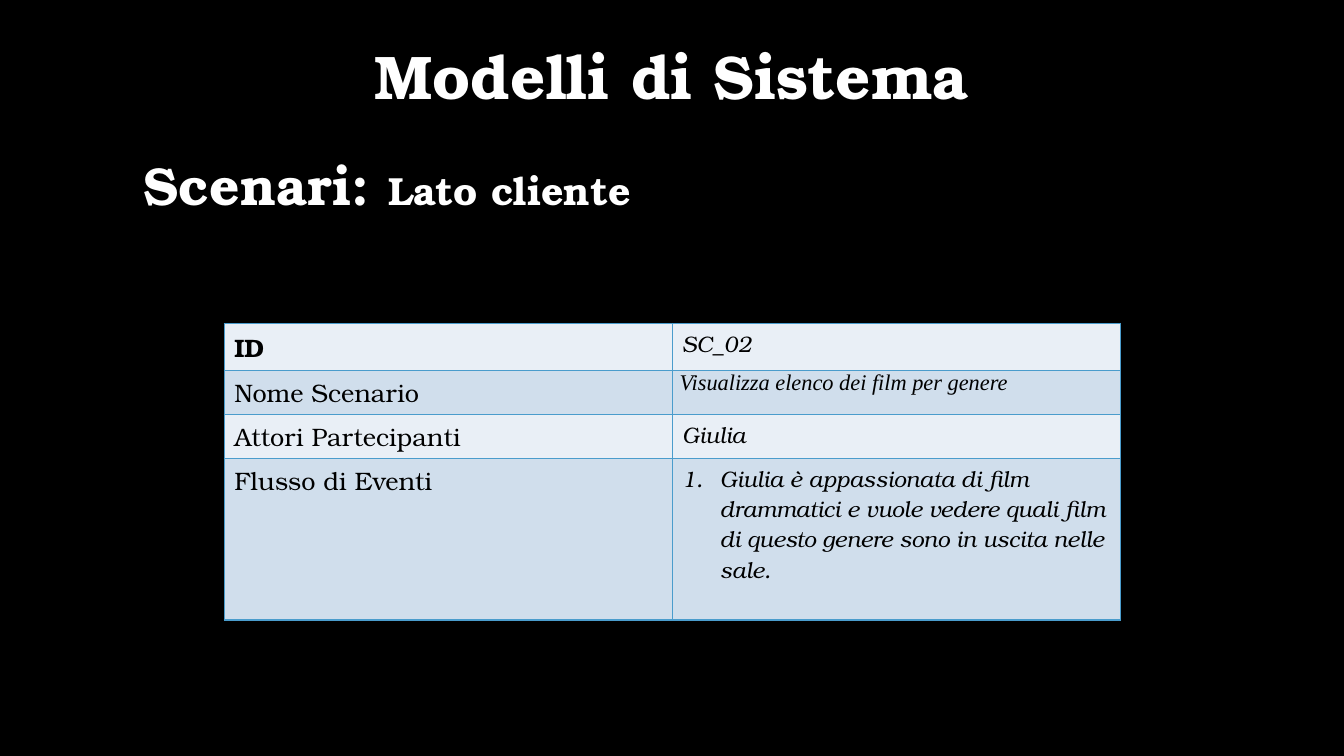
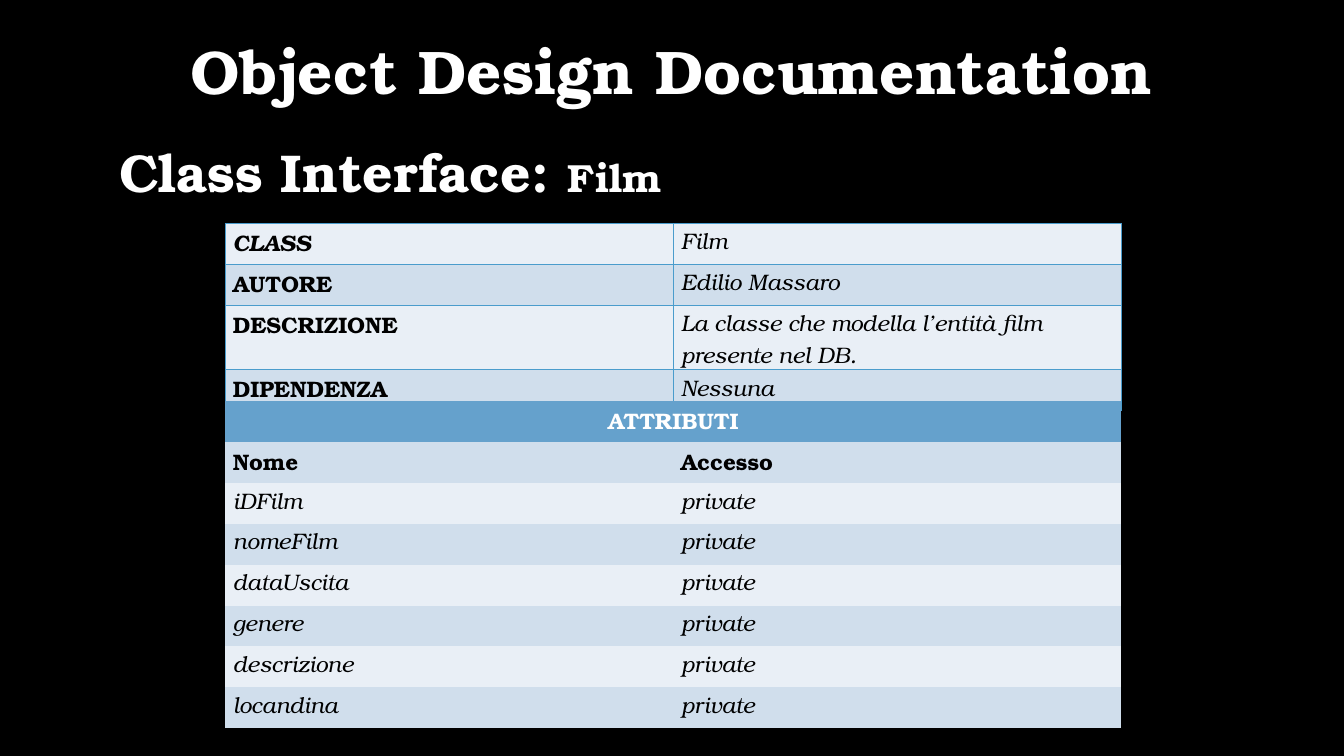
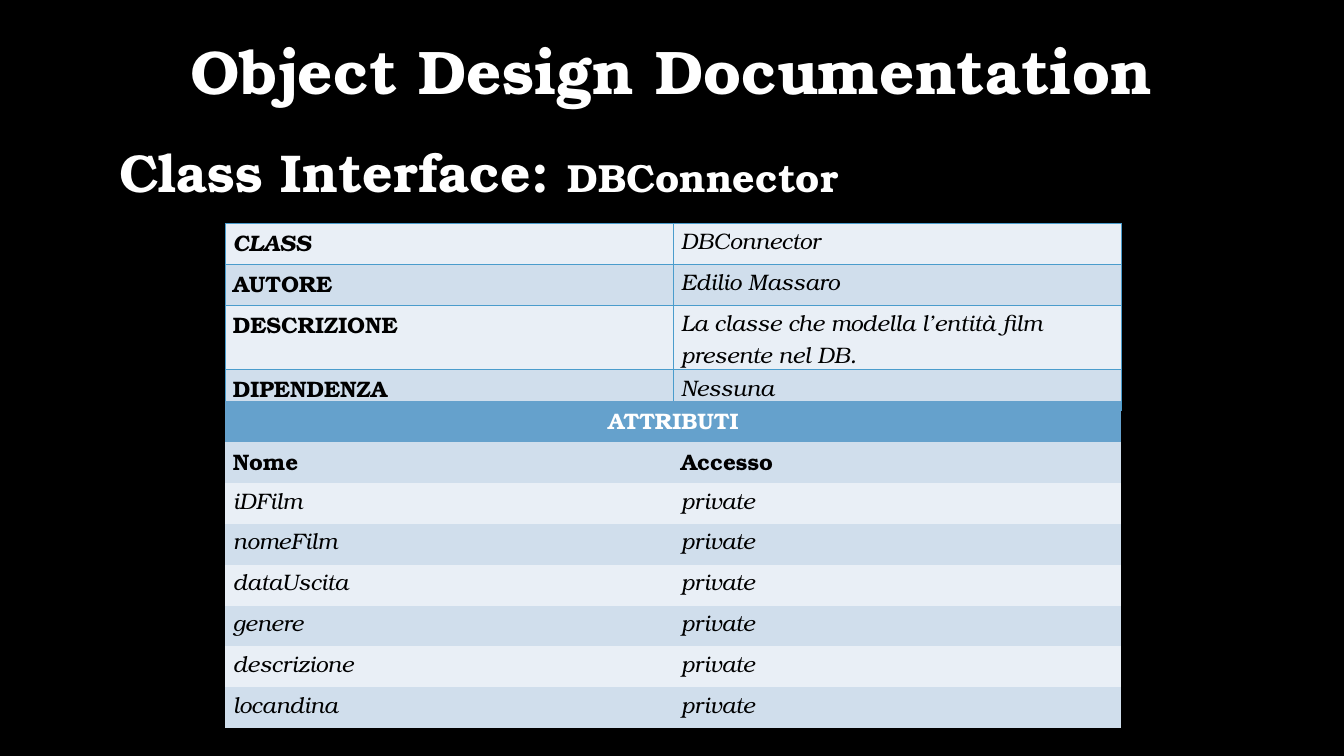
from lxml import etree
from pptx import Presentation
from pptx.dml.color import RGBColor
from pptx.enum.shapes import MSO_SHAPE
from pptx.enum.text import MSO_ANCHOR, PP_ALIGN
from pptx.oxml.ns import qn
from pptx.util import Cm, Pt

CENTER, LEFT = PP_ALIGN.CENTER, PP_ALIGN.LEFT
RECTANGLE, TOP = MSO_SHAPE.RECTANGLE, MSO_ANCHOR.TOP
FONT, SERIF = "TeX Gyre Bonum", "Times New Roman"
BLACK, WHITE, GREEN = "000000", "FFFFFF", "CAEB96"
LIGHT, MEDIUM, HEADER, BORDER = "E9EFF6", "D0DEEC", "65A1CC", "4A9CCC"
SLIDE_W, SLIDE_H = 33.87, 19.05
TABLE_W, ROW_H = 22.58, 1.03
ATTRIBUTES = ["iDFilm", "nomeFilm", "dataUscita", "genere", "descrizione", "locandina"]


def rgb(value):
    """Turn a hex string into a colour."""
    return RGBColor.from_string(value)


def style(r, size, color=BLACK, bold=False, italic=False, name=FONT):
    """Format one run."""
    r.font.size, r.font.name = Pt(size), name
    r.font.bold, r.font.italic = bold, italic
    r.font.color.rgb = rgb(color)


def fill_gradient(sp):
    """Fill a shape with the theme gradient, which ends in translucent black."""
    sp.fill.gradient()
    sp.fill.gradient_angle = 315
    for stop, color in zip(sp.fill.gradient_stops, (GREEN, BLACK)):
        stop.color.rgb = rgb(color)
        stop.position = 0
    last_color = list(sp._element.spPr.iter(qn("a:srgbClr")))[-1]
    etree.SubElement(last_color, qn("a:alpha"), val="56000")


def add_heading(s, box, runs, align=LEFT):
    """Write one bold white line of (text, size) runs in a box."""
    sp = s.shapes.add_shape(RECTANGLE, *map(Cm, box))
    sp.shadow.inherit = False
    sp.line.fill.background()
    fill_gradient(sp)
    tf = sp.text_frame
    tf.word_wrap, tf.vertical_anchor = True, TOP
    p = tf.paragraphs[0]
    p.alignment, p.line_spacing = align, 0.9
    for text, size in runs:
        r = p.add_run()
        r.text = text
        style(r, size, WHITE, bold=True)


def add_slide(prs, title, title_top, body_box, subtitle, detail):
    """Add a black slide with its title and subtitle."""
    s = prs.slides.add_slide(prs.slide_layouts[6])
    s.background.fill.solid()
    s.background.fill.fore_color.rgb = rgb(BLACK)
    add_heading(s, (0, title_top, SLIDE_W, 2.24), [(title, 44)], CENTER)
    add_heading(s, body_box, [(subtitle, 38), (detail, 28)])
    return s


def set_borders(cell, color):
    """Draw the four cell borders, or none without a colour."""
    tc_pr = cell._tc.get_or_add_tcPr()
    for side in ("a:lnL", "a:lnR", "a:lnT", "a:lnB"):
        ln = etree.SubElement(tc_pr, qn(side), w=str(Pt(1)))
        if color:
            fill = etree.SubElement(ln, qn("a:solidFill"))
            etree.SubElement(fill, qn("a:srgbClr"), val=color)
        else:
            etree.SubElement(ln, qn("a:noFill"))


def add_table(s, left, top, heights, rows, border=None, first_fill=LIGHT):
    """Place a two-column banded table of (text, format) cells."""
    table = s.shapes.add_table(len(rows), 2, Cm(left), Cm(top), Cm(TABLE_W), Cm(sum(heights))).table
    table.first_row = table.horz_banding = False
    for i, (height, row) in enumerate(zip(heights, rows)):
        table.rows[i].height = Cm(height)
        for j, (text, fmt) in enumerate(row):
            cell = table.cell(i, j)
            set_borders(cell, border)
            cell.fill.solid()
            cell.fill.fore_color.rgb = rgb(first_fill if i == 0 else (LIGHT, MEDIUM)[i % 2])
            p = cell.text_frame.paragraphs[0]
            p.text = text
            for r in p.runs:
                style(r, **fmt)
    return table


def narrow_margins(cell):
    """Keep only small side margins in a cell."""
    cell.margin_left = cell.margin_right = Cm(0.19)
    cell.margin_top = cell.margin_bottom = 0


def tighten(table, spacing=1.07):
    """Narrow the cell margins and set the line spacing."""
    for cell in table.iter_cells():
        narrow_margins(cell)
        cell.text_frame.paragraphs[0].line_spacing = spacing


def number_paragraph(p, indent):
    """Give a paragraph an automatic number and a hanging indent."""
    p_pr = p._p.get_or_add_pPr()
    p_pr.set("marL", str(Cm(indent)))
    p_pr.set("indent", str(-Cm(indent)))
    etree.SubElement(p_pr, qn("a:buAutoNum"), type="arabicPeriod")


def scenario_slide(prs):
    """Build the scenario slide."""
    s = add_slide(prs, "Modelli di Sistema", 1.04, (3.36, 3.9, 27.15, 14.53),
                  "Scenari: ", "Lato cliente")
    label, value = {"size": 18}, {"size": 16, "italic": True}
    rows = [
        [("ID", {**label, "bold": True}), ("SC_02", value)],
        [("Nome Scenario", label),
         ("Visualizza elenco dei film per genere", {**value, "name": SERIF})],
        [("Attori Partecipanti", label), ("Giulia", value)],
        [("Flusso di Eventi", label),
         ("Giulia è appassionata di film drammatici e vuole vedere quali film "
          "di questo genere sono in uscita nelle sale.", value)],
    ]
    table = add_table(s, 5.65, 8.15, [1.19, 1.09, 1.11, 4.07], rows, BORDER)
    narrow_margins(table.cell(1, 1))
    number_paragraph(table.cell(3, 1).text_frame.paragraphs[0], 0.95)


def class_slide(prs, class_name):
    """Build the slide that describes one class."""
    s = add_slide(prs, "Object Design Documentation", 0.91, (2.75, 3.58, 28.45, 15.16),
                  "Class Interface: ", class_name)
    label, value = {"size": 16, "bold": True}, {"size": 16, "italic": True}
    summary = [
        [("CLASS", {**label, "italic": True}), (class_name, value)],
        [("AUTORE", label), ("Edilio Massaro", value)],
        [("DESCRIZIONE", label),
         ("La classe che modella l’entità film presente nel DB.", value)],
        [("DIPENDENZA", label), ("Nessuna", value)],
    ]
    tighten(add_table(s, 5.68, 5.63, [ROW_H, ROW_H, 1.62, ROW_H], summary, BORDER))

    attributes = [[("ATTRIBUTI", {**label, "color": WHITE}), ("", label)],
                  [("Nome", label), ("Accesso", label)]]
    attributes += [[(name, value), ("private", value)] for name in ATTRIBUTES]
    table = add_table(s, 5.68, 10.11, [ROW_H] * len(attributes), attributes, first_fill=HEADER)
    tighten(table)
    table.cell(0, 0).merge(table.cell(0, 1))
    table.cell(0, 0).text_frame.paragraphs[0].alignment = CENTER


def main():
    """Build and save the presentation."""
    prs = Presentation()
    prs.slide_width, prs.slide_height = Cm(SLIDE_W), Cm(SLIDE_H)
    scenario_slide(prs)
    for class_name in ("Film", "DBConnector"):
        class_slide(prs, class_name)
    prs.save("out.pptx")


if __name__ == "__main__":
    main()
